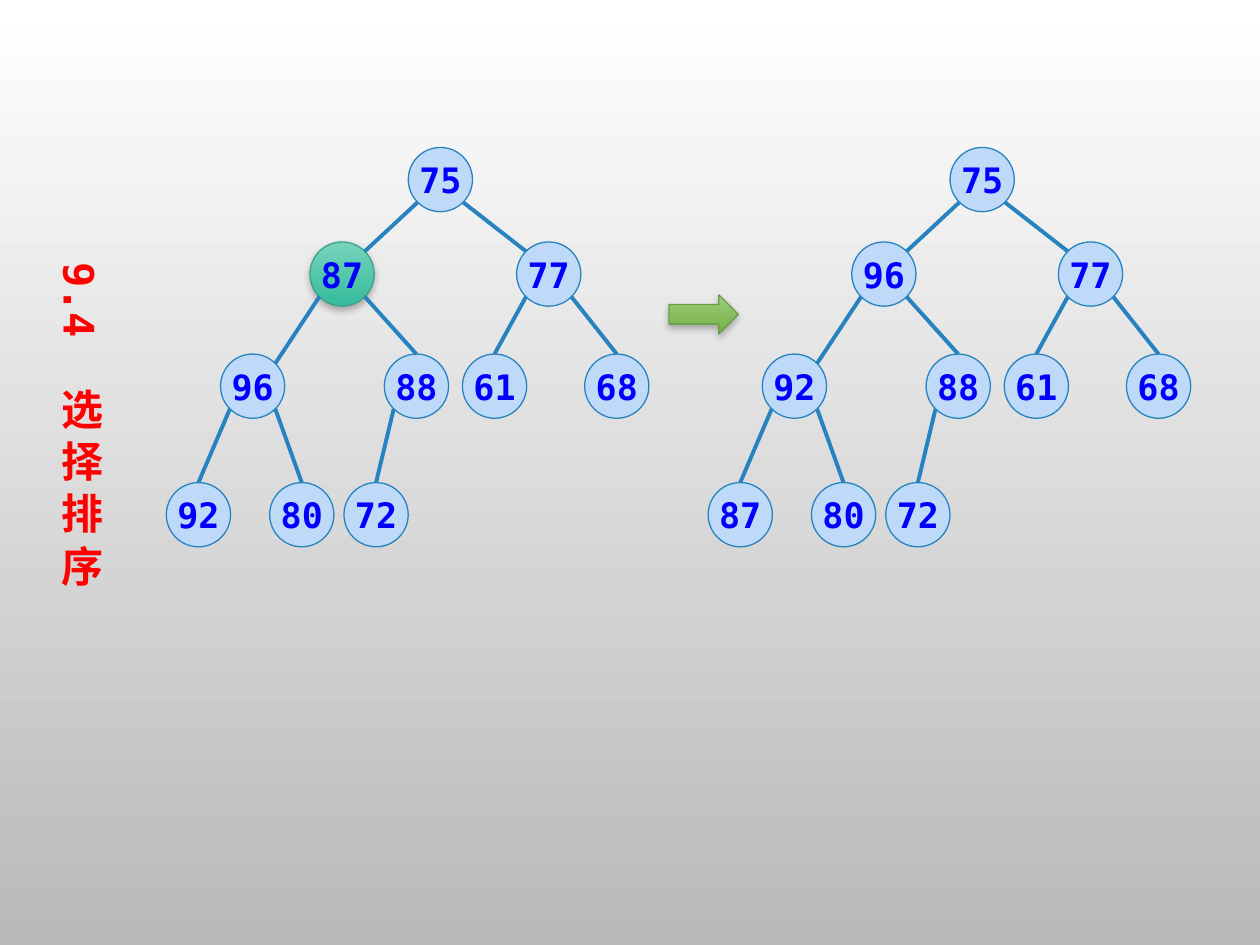
from lxml import etree
from pptx import Presentation
from pptx.dml.color import RGBColor
from pptx.enum.shapes import MSO_CONNECTOR as Connector, MSO_SHAPE as Shape
from pptx.enum.text import MSO_ANCHOR as Anchor, MSO_AUTO_SIZE as AutoSize, PP_ALIGN as Align
from pptx.oxml import parse_xml
from pptx.oxml.ns import nsdecls, qn
from pptx.util import Inches, Pt

color = RGBColor.from_string
FONT = "DejaVu Sans Mono"
SIZE = 0.51      # node diameter
DIAGONAL = 0.18  # offset from a node's centre to its diagonal points


def set_gradient(fill, top, bottom):
    fill.gradient()
    fill.gradient_angle = 270
    for stop, value in zip(fill.gradient_stops, (top, bottom)):
        stop.color.rgb = color(value)


def add_shadow(shape):
    shape.shadow.inherit = False
    effects = shape._element.spPr.find(qn("a:effectLst"))
    effects.append(parse_xml(
        f'<a:outerShdw {nsdecls("a")} blurRad="{Pt(4)}" dist="{Pt(2)}" dir="5400000" rotWithShape="0">'
        '<a:srgbClr val="000000"><a:alpha val="28000"/></a:srgbClr></a:outerShdw>'))


presentation = Presentation()
presentation.slide_width = Inches(10)
presentation.slide_height = Inches(7.5)
slide = presentation.slides.add_slide(presentation.slide_layouts[5])
set_gradient(slide.background.fill, "FFFFFF", "B9B9B9")

# Vertical title
title = slide.shapes.title
title.left, title.top = Inches(0.33), Inches(2.03)
title.width, title.height = Inches(0.61), Inches(3.2)
frame = title.text_frame
frame.text = "9.4  选 择 排 序"
frame.auto_size = AutoSize.NONE
frame.vertical_anchor = Anchor.TOP
frame._txBody.bodyPr.set("vert", "eaVert")
paragraph = frame.paragraphs[0]
paragraph.alignment = Align.CENTER
paragraph.font.name = FONT
paragraph.font.size = Pt(24)
paragraph.font.bold = True
paragraph.font.color.rgb = color("FF0000")

# Arrow between the trees
arrow = slide.shapes.add_shape(Shape.RIGHT_ARROW, Inches(5.31), Inches(2.34), Inches(0.55), Inches(0.31))
set_gradient(arrow.fill, "9ECC7E", "73B142")
arrow.line.color.rgb = color("6B9B46")
arrow.line.width = Pt(0.75)
add_shadow(arrow)

# Node places in level order: children of node i are 2i + 1 and 2i + 2
places = [(3.24, 1.17), (2.46, 1.92), (4.1, 1.92), (1.75, 2.81), (3.05, 2.81),
          (3.67, 2.81), (4.64, 2.81), (1.32, 3.83), (2.14, 3.83), (2.73, 3.83)]
diagonal_ends = (1, 2, 3)  # edges that meet the child at its diagonal point

# Trees before and after the swap: horizontal shift, values, highlighted node
trees = [
    (0, (75, 87, 77, 96, 88, 61, 68, 92, 80, 72), 1),
    (4.3, (75, 96, 77, 92, 88, 61, 68, 87, 80, 72), None),
]
for shift, values, highlighted in trees:
    tree = slide.shapes.add_group_shape()

    # Nodes
    for index, ((left, top), value) in enumerate(zip(places, values)):
        node = tree.shapes.add_shape(
            Shape.OVAL, Inches(left + shift), Inches(top), Inches(SIZE), Inches(SIZE))
        node.line.width = Pt(0.75)
        if index == highlighted:
            set_gradient(node.fill, "77D4BC", "36BA9C")
            node.line.color.rgb = color("3CA28B")
            add_shadow(node)
        else:
            node.fill.solid()
            node.fill.fore_color.rgb = color("BFDAF9")
            node.line.color.rgb = color("2683BF")
            node.shadow.inherit = False
        frame = node.text_frame
        frame.text = str(value)
        frame.margin_left = frame.margin_right = 0
        frame.word_wrap = False
        frame.vertical_anchor = Anchor.MIDDLE
        paragraph = frame.paragraphs[0]
        paragraph.alignment = Align.CENTER
        paragraph.font.name = FONT
        paragraph.font.size = Pt(20)
        paragraph.font.bold = True
        paragraph.font.color.rgb = color("0000FF")

    # Edges
    for child in range(1, len(places)):
        parent_x, parent_y = (place + SIZE / 2 for place in places[(child - 1) // 2])
        child_x, child_y = (place + SIZE / 2 for place in places[child])
        side = -DIAGONAL if child % 2 else DIAGONAL
        if child in diagonal_ends:
            end_x, end_y = child_x - side, child_y - DIAGONAL
        else:
            end_x, end_y = child_x, child_y - SIZE / 2
        edge = tree.shapes.add_connector(
            Connector.STRAIGHT, Inches(parent_x + side + shift), Inches(parent_y + DIAGONAL),
            Inches(end_x + shift), Inches(end_y))
        edge.line.color.rgb = color("2683BF")
        edge.line.width = Pt(2.25)
        etree.SubElement(edge._element.spPr, qn("a:effectLst"))

presentation.save("out.pptx")
